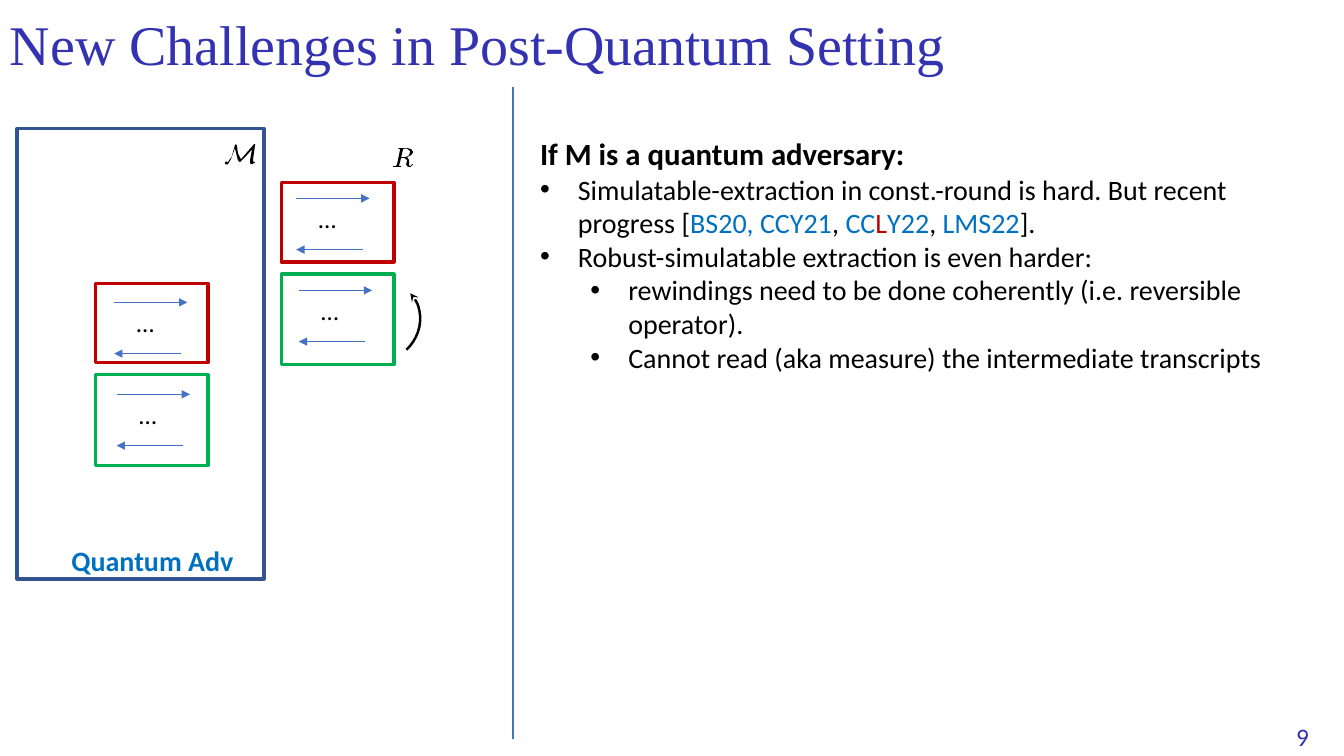
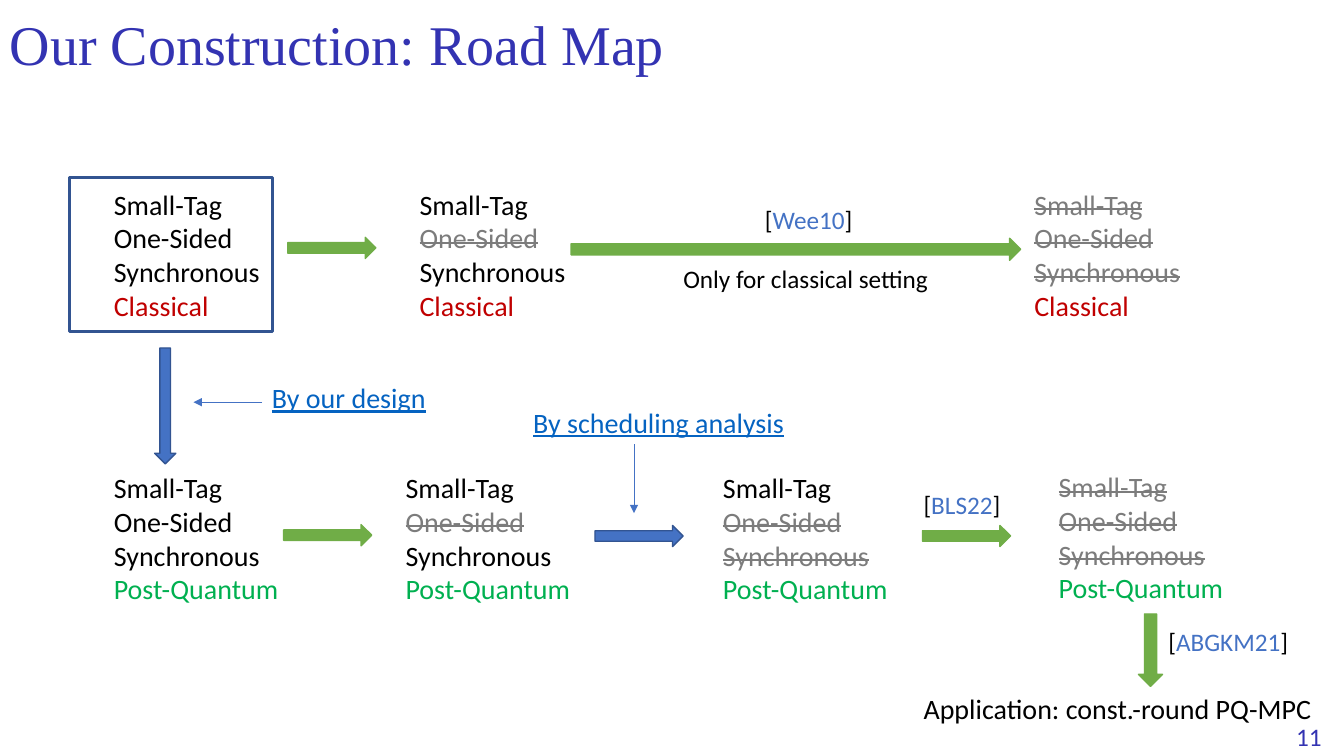
from dataclasses import dataclass

from pptx import Presentation
from pptx.dml.color import RGBColor
from pptx.enum.shapes import MSO_CONNECTOR as Connector, MSO_SHAPE as Shape
from pptx.enum.text import MSO_ANCHOR as Anchor, MSO_AUTO_SIZE as AutoSize
from pptx.oxml.ns import qn
from pptx.oxml.xmlchemy import OxmlElement
from pptx.util import Pt


@dataclass(frozen=True)
class Theme:
    # Fonts and type sizes
    title_font: str = "Times New Roman"
    body_font: str = "Calibri"
    title_size: int = 40
    heading_size: int = 22
    body_size: int = 20
    small_size: int = 18
    # Colours
    title: str = "3333B2"
    text: str = "000000"
    muted: str = "7C7C7C"
    accent: str = "4472C4"
    frame: str = "325491"
    cite: str = "0070C0"
    link: str = "0563C1"
    red: str = "C00000"
    green: str = "00B050"
    arrow_green: str = "70AD47"


THEME = Theme()


def rgb(value):
    return RGBColor.from_string(value)


def add_run(paragraph, text, *, size=THEME.body_size, color=THEME.text,
            font=THEME.body_font, bold=False, underline=False, strike=False):
    run = paragraph.add_run()
    run.text = text
    run.font.name = font
    run.font.size = Pt(size)
    run.font.bold = bold
    run.font.underline = underline
    run.font.color.rgb = rgb(color)
    if strike:
        run._r.get_or_add_rPr().set("strike", "sngStrike")


def add_bullet(paragraph, level):
    paragraph.level = level
    properties = paragraph._p.get_or_add_pPr()
    properties.set("marL", str(Pt(27 + 36 * level)))
    properties.set("indent", str(Pt(-27)))
    bullet_font = OxmlElement("a:buFont")
    bullet_font.set("typeface", "Arial")
    bullet = OxmlElement("a:buChar")
    bullet.set("char", "•")
    properties.append(bullet_font)
    properties.append(bullet)


def add_arrowhead(shape, end, kind):
    head = OxmlElement(f"a:{end}")
    head.set("type", kind)
    shape._element.spPr.find(qn("a:ln")).append(head)


class Deck:
    """Holds the style and the current slide."""

    def __init__(self, theme):
        self.theme = theme
        self.presentation = Presentation()
        self.presentation.slide_width = Pt(960)
        self.presentation.slide_height = Pt(540)
        self.slide = None

    def new_slide(self, title, number):
        layout = self.presentation.slide_layouts[6]
        self.slide = self.presentation.slides.add_slide(layout)
        theme = self.theme
        self.label(918.7, 511.9, 41, 29, number,
                   size=theme.small_size, color=theme.title)
        frame = self.text_box(0, 0, 828, 67.7)
        frame.auto_size = AutoSize.NONE
        frame.vertical_anchor = Anchor.MIDDLE
        frame.paragraphs[0].line_spacing = 0.9
        add_run(frame.paragraphs[0], title, size=theme.title_size,
                color=theme.title, font=theme.title_font)

    def text_box(self, left, top, width, height):
        box = self.slide.shapes.add_textbox(Pt(left), Pt(top), Pt(width), Pt(height))
        box.text_frame.word_wrap = True
        box.text_frame.auto_size = AutoSize.SHAPE_TO_FIT_TEXT
        return box.text_frame

    def label(self, left, top, width, height, text, **style):
        frame = self.text_box(left, top, width, height)
        add_run(frame.paragraphs[0], text, **style)

    def citation(self, left, top, width, key):
        paragraph = self.text_box(left, top, width, 29).paragraphs[0]
        for text, color in (("[", self.theme.text), (key, self.theme.accent),
                            ("]", self.theme.text)):
            add_run(paragraph, text, size=self.theme.small_size, color=color)

    def bullets(self, left, top, width, height, heading, items):
        frame = self.text_box(left, top, width, height)
        add_run(frame.paragraphs[0], heading,
                size=self.theme.heading_size, bold=True)
        for level, spans in items:
            paragraph = frame.add_paragraph()
            add_bullet(paragraph, level)
            for text, color in spans:
                add_run(paragraph, text, color=color)

    def shape(self, kind, left, top, width, height, *, line,
              fill=None, weight=2.25, rotation=0):
        shape = self.slide.shapes.add_shape(
            kind, Pt(left), Pt(top), Pt(width), Pt(height))
        shape.shadow.inherit = False
        shape.rotation = rotation
        shape.line.color.rgb = rgb(line)
        shape.line.width = Pt(weight)
        if fill:
            shape.fill.solid()
            shape.fill.fore_color.rgb = rgb(fill)
        else:
            shape.fill.background()
        return shape

    def frame(self, left, top, width, height, color):
        self.shape(Shape.RECTANGLE, left, top, width, height, line=color)

    def block_arrow(self, left, top, length, thickness=15.1, *,
                    green=True, rotation=0):
        theme = self.theme
        self.shape(Shape.RIGHT_ARROW, left, top, length, thickness, weight=1,
                   fill=theme.arrow_green if green else theme.accent,
                   line=theme.arrow_green if green else theme.frame,
                   rotation=rotation)

    def line(self, x1, y1, x2, y2, *, weight=0.5, arrow=True):
        connector = self.slide.shapes.add_connector(
            Connector.STRAIGHT, Pt(x1), Pt(y1), Pt(x2), Pt(y2))
        connector.line.color.rgb = rgb(self.theme.accent)
        connector.line.width = Pt(weight)
        if arrow:
            add_arrowhead(connector, "tailEnd", "triangle")
        connector._element.spPr.append(OxmlElement("a:effectLst"))

    def symbol(self, left, top, contours):
        """Filled outline; contour points lie on a grid of 0.72 pt."""
        steps = 10
        scaled = [[(x * steps, y * steps) for x, y in points]
                  for points in contours]
        builder = self.slide.shapes.build_freeform(
            *scaled[0][0], scale=Pt(0.72) / steps)
        for index, points in enumerate(scaled):
            if index:
                builder.move_to(*points[0])
            builder.add_line_segments(points[1:], close=True)
        shape = builder.convert_to_shape(Pt(left), Pt(top))
        shape.shadow.inherit = False
        shape.fill.solid()
        shape.fill.fore_color.rgb = rgb(self.theme.text)
        shape.line.fill.background()

    def sessions(self, box_left, box_top, arrow_left, arrow_top):
        """A red message exchange above a green one."""
        rows = ((self.theme.red, 56.9), (self.theme.green, 64.8))
        for row, (color, height) in enumerate(rows):
            left = arrow_left + 1.8 * row
            top = arrow_top + 65.7 * row
            self.line(left, top, left + 52.4, top)
            self.line(left + 47.6, top + 36.6, left, top + 36.6)
            self.label(left + 9, top, 33, 29, "…", size=self.theme.small_size)
            self.frame(box_left, box_top + 65.5 * row, 80.6, height, color)

    def stage(self, left, top, setting, struck=()):
        """The properties of one scheme, with the removed ones struck out."""
        theme = self.theme
        frame = self.text_box(left, top, 161.3, 104.7)
        for index, tag in enumerate(("Small-Tag", "One-Sided", "Synchronous")):
            paragraph = frame.add_paragraph() if index else frame.paragraphs[0]
            gone = index in struck
            add_run(paragraph, tag, strike=gone,
                    color=theme.muted if gone else theme.text)
        add_run(frame.add_paragraph(), setting,
                color=theme.red if setting == "Classical" else theme.green)


# Outlines of the two party symbols
SCRIPT_M = [[
    (10, 4), (13, 16), (15, 18), (21, 12), (27, 5), (25, 16), (25, 19), (27, 20),
    (30, 18), (28, 17), (28, 15), (30, 1), (30, 0), (29, 0), (16, 15), (13, 9),
    (12, 1), (11, 0), (10, 1), (7, 12), (3, 18), (1, 17), (0, 19), (1, 20),
    (3, 20), (6, 15)]]
ITALIC_R = [
    [(10, 1), (11, 0.6), (14, 0.6), (17, 3), (16, 7), (14, 8.4), (11, 9), (8, 9)],
    [(14, 9), (18, 7), (20, 4), (18, 1), (14, 0), (6, 0), (5, 0.6), (7, 1),
     (7, 1.4), (4, 16), (3, 17.6), (0, 18), (0, 18.6), (8, 18.6), (8, 18),
     (6, 17.6), (6, 17), (8, 9.6), (11, 9.6), (14, 12), (13, 16), (14, 18),
     (17, 19), (20, 16), (19, 16), (17, 18), (16, 17), (16, 12)]]


def challenges_slide(deck):
    theme = deck.theme
    deck.new_slide("New Challenges in Post-Quantum Setting", "9")

    # Adversary and its two sessions on either side
    deck.symbol(160.6, 103, SCRIPT_M)
    deck.symbol(280.8, 105.8, ITALIC_R)
    deck.sessions(68, 202.3, 81.5, 216)
    deck.sessions(200.9, 130.3, 211.6, 141.7)
    rewind = deck.shape(Shape.ARC, 244.1, 200.2, 54.7, 59.8,
                        line=theme.text, weight=1.75, rotation=46.3)
    add_arrowhead(rewind, "headEnd", "stealth")
    deck.frame(12.2, 91.8, 176.4, 321.8, theme.frame)
    deck.label(43.9, 384.5, 138.2, 31.7, "Quantum Adv",
               color=theme.cite, bold=True)

    # Divider and discussion
    deck.line(366.5, 62, 366.5, 528, weight=1.5, arrow=False)
    deck.bullets(378.7, 93, 564.5, 179.3, "If M is a quantum adversary:", [
        (0, [("Simulatable-extraction in const.-round is hard. "
              "But recent progress [", theme.text),
             ("BS20, CCY21", theme.cite), (", ", theme.text),
             ("CC", theme.cite), ("L", theme.red), ("Y22", theme.cite),
             (", ", theme.text), ("LMS22", theme.cite), ("].", theme.text)]),
        (0, [("Robust-simulatable extraction is even harder:", theme.text)]),
        (1, [("rewindings need to be done coherently "
              "(i.e. reversible operator).", theme.text)]),
        (1, [("Cannot read (aka measure) the intermediate transcripts",
              theme.text)]),
    ])


def road_map_slide(deck):
    theme = deck.theme
    deck.new_slide("Our Construction: Road Map", "11")

    # Stages: left, top, setting, struck rows
    for stage in (
        (74.2, 130.3, "Classical"),
        (292.6, 130.3, "Classical", (1,)),
        (731.7, 130.3, "Classical", (0, 1, 2)),
        (74.2, 332.8, "Post-Quantum"),
        (282.6, 332.8, "Post-Quantum", (1,)),
        (509.3, 332.8, "Post-Quantum", (1, 2)),
        (749.1, 332.1, "Post-Quantum", (0, 1, 2)),
    ):
        deck.stage(*stage)
    deck.frame(49.7, 126.9, 144.7, 110.2, theme.frame)

    # Steps between stages
    deck.block_arrow(205.6, 169.5, 62.9)
    deck.block_arrow(408, 170.2, 321.1, 15.8)
    deck.block_arrow(202.6, 374.7, 62.9)
    deck.block_arrow(425, 375.3, 62.9, green=False)
    deck.block_arrow(658.9, 375.3, 62.9)
    deck.block_arrow(76.6, 282.4, 82.8, green=False, rotation=90)
    deck.block_arrow(795.9, 455.8, 51.8, 17.3, rotation=90)

    # Sources and remarks
    deck.citation(539.3, 142.6, 79.2, "Wee10")
    deck.citation(652.6, 345.6, 79.2, "BLS22")
    deck.citation(827.5, 443.5, 103.7, "ABGKM21")
    deck.label(481, 184.6, 208.8, 29, "Only for classical setting",
               size=theme.small_size)
    deck.label(652.6, 490.3, 303.8, 31.7, "Application: const.-round PQ-MPC")
    deck.line(187.2, 287.3, 138.2, 287.3)
    deck.label(187.2, 268.6, 129.6, 31.7, "By our design",
               color=theme.link, underline=True)
    deck.line(452.9, 317.5, 452.9, 366.5)
    deck.label(373.7, 285.8, 214.6, 31.7, "By scheduling analysis",
               color=theme.link, underline=True)


def main():
    deck = Deck(THEME)
    challenges_slide(deck)
    road_map_slide(deck)
    deck.presentation.save("out.pptx")


if __name__ == "__main__":
    main()
